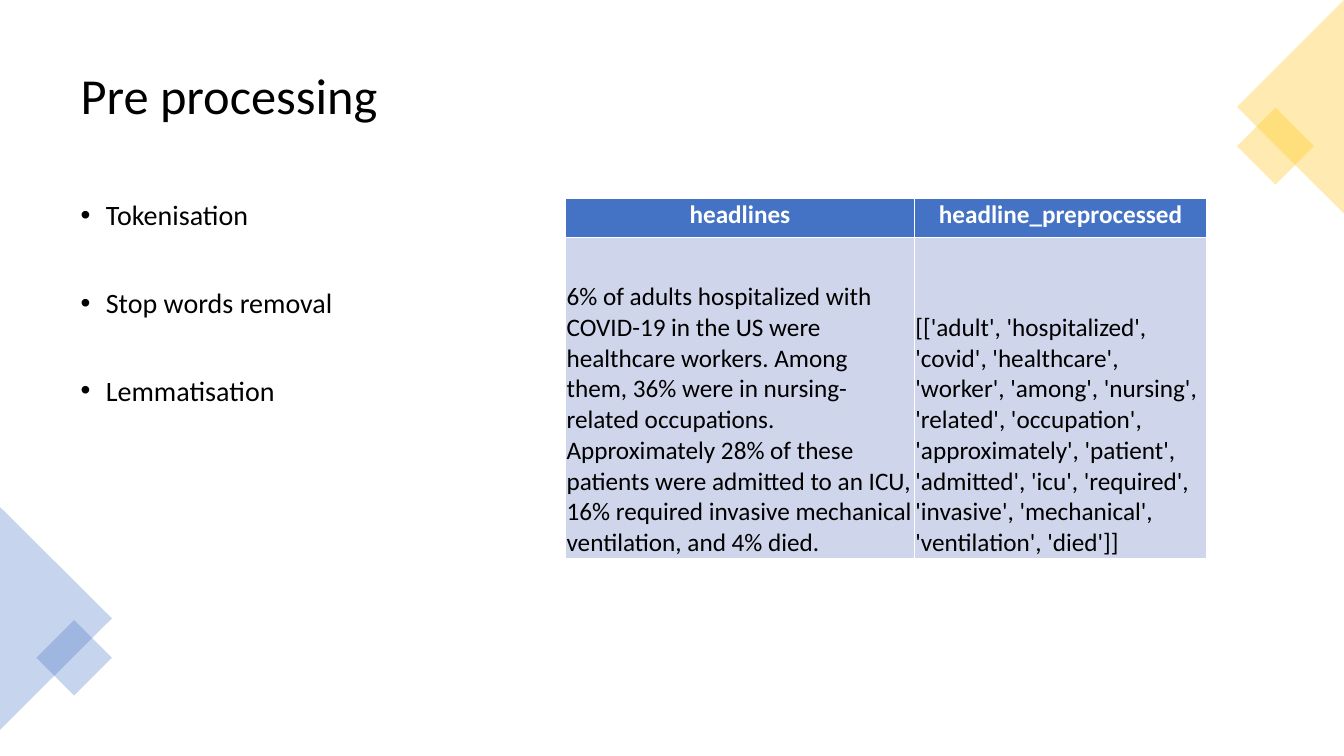
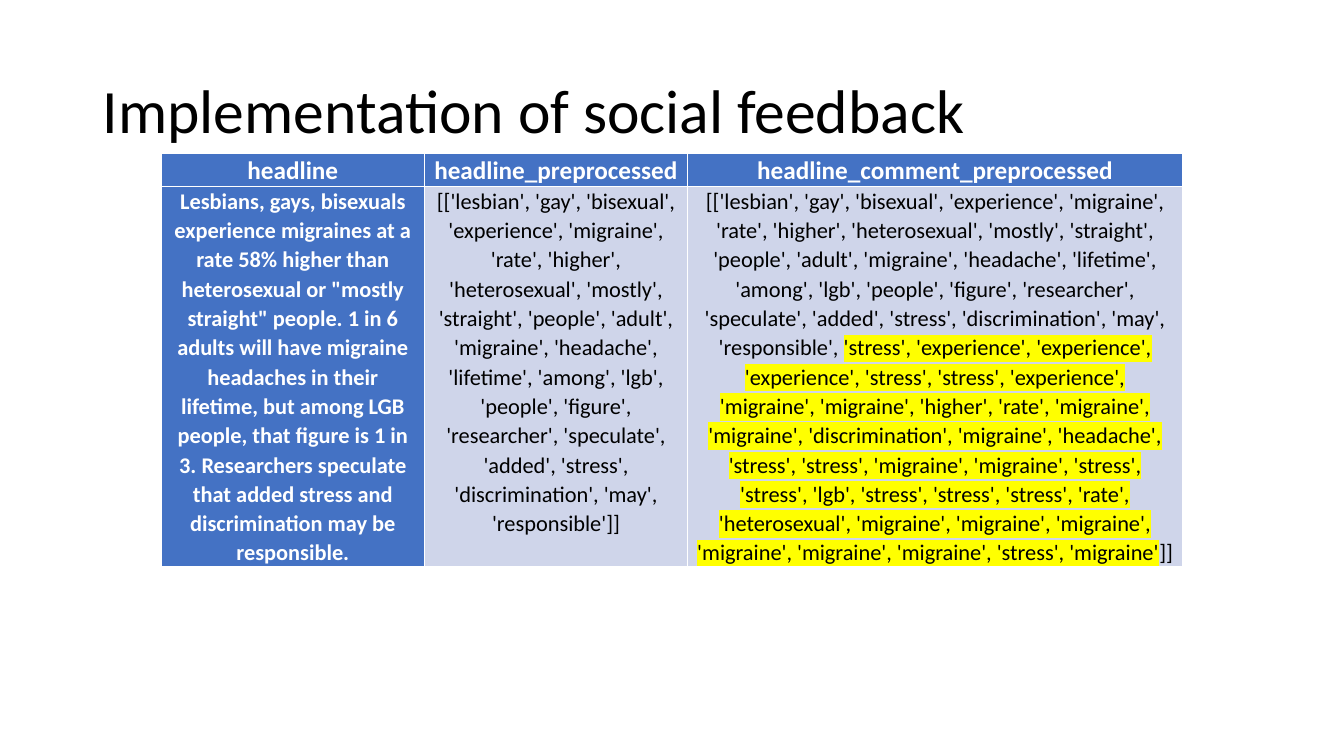
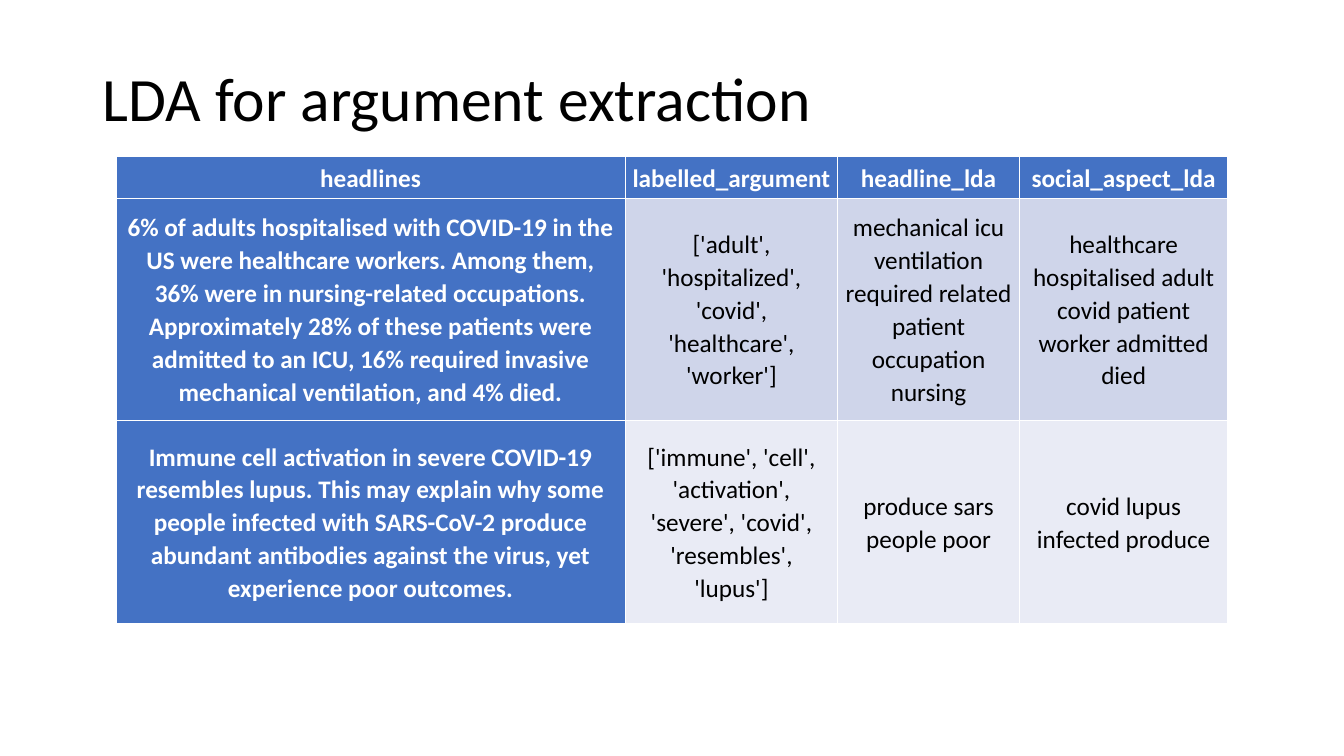
from dataclasses import dataclass
from pptx import Presentation
from pptx.dml.color import RGBColor
from pptx.enum.shapes import MSO_SHAPE
from pptx.enum.text import MSO_ANCHOR, MSO_AUTO_SIZE, PP_ALIGN
from pptx.oxml.xmlchemy import OxmlElement
from pptx.util import Inches, Pt

LEFT, CENTER = PP_ALIGN.LEFT, PP_ALIGN.CENTER
TOP, MIDDLE, BOTTOM = MSO_ANCHOR.TOP, MSO_ANCHOR.MIDDLE, MSO_ANCHOR.BOTTOM
NO_AUTOFIT = MSO_AUTO_SIZE.NONE
TRIANGLE, RECTANGLE = MSO_SHAPE.ISOSCELES_TRIANGLE, MSO_SHAPE.RECTANGLE
TITLE_AND_CONTENT, TITLE_ONLY = 1, 5


@dataclass(frozen=True)
class Theme:
    font: str = "Calibri"
    black: str = "000000"
    white: str = "FFFFFF"
    blue: str = "4472C4"
    gold: str = "FFC000"
    bands: tuple = ("CFD5EA", "E9EBF5")
    marker: str = "FFFF00"
    title: int = 44
    small_title: int = 36
    bullet: int = 20
    cell: int = 18
    small_cell: int = 16
    line_spacing: float = 0.9
    decor_opacity: int = 30


theme = Theme()


def format_runs(paragraph, size, color=theme.black, bold=False):
    for run in paragraph.runs:
        run.font.name = theme.font
        run.font.size = Pt(size)
        run.font.bold = bold
        run.font.color.rgb = RGBColor.from_string(color)


def place_text(placeholder, box, text, size):
    placeholder.left, placeholder.top, placeholder.width, placeholder.height = map(Inches, box)
    frame = placeholder.text_frame
    frame.text = text
    frame.word_wrap = True
    frame.auto_size = NO_AUTOFIT
    for paragraph in frame.paragraphs:
        paragraph.alignment = LEFT
        paragraph.line_spacing = theme.line_spacing
        format_runs(paragraph, size)
    return frame


prs = Presentation()
prs.slide_width, prs.slide_height = Inches(13.33), Inches(7.5)

# Wording used more than once
covid_headline = (
    "6% of adults {} with COVID-19 in the US were healthcare workers. Among them, 36% were in "
    "nursing-related occupations. Approximately 28% of these patients were admitted to an ICU, "
    "16% required invasive mechanical ventilation, and 4% died."
)
migraine_words = (
    "[['lesbian', 'gay', 'bisexual', 'experience', 'migraine', 'rate', 'higher', 'heterosexual', "
    "'mostly', 'straight', 'people', 'adult', 'migraine', 'headache', 'lifetime', 'among', 'lgb', "
    "'people', 'figure', 'researcher', 'speculate', 'added', 'stress', 'discrimination', 'may', "
    "'responsible'"
)
comment_words = (
    "'stress', 'experience', 'experience', 'experience', 'stress', 'stress', 'experience', "
    "'migraine', 'migraine', 'higher', 'rate', 'migraine', 'migraine', 'discrimination', "
    "'migraine', 'headache', 'stress', 'stress', 'migraine', 'migraine', 'stress', 'stress', "
    "'lgb', 'stress', 'stress', 'stress', 'rate', 'heterosexual', 'migraine', 'migraine', "
    "'migraine', 'migraine', 'migraine', 'migraine', 'stress', 'migraine'"
)

# Slide contents; each cell is a tuple of runs, and every second run is highlighted
pages = [
    dict(
        layout=TITLE_AND_CONTENT, title="Pre processing",
        title_box=(0.7, 0.35, 11.93, 1.24), title_size=theme.small_title,
        origin=(5.61, 1.97), cols=(3.46, 2.9), heights=(0.39, 3.18),
        insets=(0.01, 0.01, 0.01, 0), anchors=(TOP, BOTTOM), body_align=LEFT,
        body_size=theme.cell, line_spacing=1.0, space_after=0, first_col=False,
        rows=[
            [("headlines",), ("headline_preprocessed",)],
            [(covid_headline.format("hospitalized"),),
             ("[['adult', 'hospitalized', 'covid', 'healthcare', 'worker', 'among', 'nursing', "
              "'related', 'occupation', 'approximately', 'patient', 'admitted', 'icu', "
              "'required', 'invasive', 'mechanical', 'ventilation', 'died']]",)],
        ],
    ),
    dict(
        layout=TITLE_ONLY, title="Implementation of social feedback",
        title_box=(0.92, 0.4, 11.5, 1.45), title_size=theme.title,
        origin=(1.6, 1.52), cols=(2.61, 2.61, 4.91), heights=(0.29, 3.15),
        insets=(0.09, 0, 0.09, 0), anchors=(TOP, TOP), body_align=CENTER,
        body_size=theme.small_cell, line_spacing=1.07, space_after=8, first_col=True,
        rows=[
            [("headline",), ("headline_preprocessed",), ("headline_comment_preprocessed",)],
            [("Lesbians, gays, bisexuals experience migraines at a rate 58% higher than "
              "heterosexual or \"mostly straight\" people. 1 in 6 adults will have migraine "
              "headaches in their lifetime, but among LGB people, that figure is 1 in 3. "
              "Researchers speculate that added stress and discrimination may be responsible.",),
             (migraine_words + "]]",),
             (migraine_words + ", ", comment_words, "]]")],
        ],
    ),
    dict(
        layout=TITLE_ONLY, title="LDA for argument extraction",
        title_box=(0.92, 0.28, 11.5, 1.45), title_size=theme.title,
        origin=(1.15, 1.55), cols=(5.05, 2.11, 1.8, 2.07), heights=(0.42, 2.2, 2.02),
        insets=(0.06, 0, 0.06, 0), anchors=(MIDDLE, MIDDLE), body_align=CENTER,
        body_size=theme.cell, line_spacing=1.07, space_after=8, first_col=True,
        rows=[
            [("headlines",), ("labelled_argument",), ("headline_lda",), ("social_aspect_lda",)],
            [(covid_headline.format("hospitalised"),),
             ("['adult', 'hospitalized', 'covid', 'healthcare', 'worker']",),
             ("mechanical icu ventilation required related patient occupation nursing",),
             ("healthcare hospitalised adult covid patient worker admitted died",)],
            [("Immune cell activation in severe COVID-19 resembles lupus. This may explain why "
              "some people infected with SARS-CoV-2 produce abundant antibodies against the "
              "virus, yet experience poor outcomes.",),
             ("['immune', 'cell', 'activation', 'severe', 'covid', 'resembles', 'lupus']",),
             ("produce sars people poor",),
             ("covid lupus infected produce",)],
        ],
    ),
]

for page in pages:
    # Title
    slide = prs.slides.add_slide(prs.slide_layouts[page["layout"]])
    heading = place_text(slide.shapes.title, page["title_box"], page["title"], page["title_size"])
    heading.vertical_anchor = MIDDLE

    # Table: white rules come from the default table style
    cols, heights = page["cols"], page["heights"]
    grid = slide.shapes.add_table(
        len(heights), len(cols), *map(Inches, (*page["origin"], sum(cols), sum(heights)))).table
    grid.first_col = page["first_col"]
    for column, width in zip(grid.columns, cols):
        column.width = Inches(width)
    for row, height in zip(grid.rows, heights):
        row.height = Inches(height)

    for r, row_texts in enumerate(page["rows"]):
        is_header = r == 0
        for c, parts in enumerate(row_texts):
            is_label = is_header or (page["first_col"] and c == 0)
            cell = grid.cell(r, c)
            cell.fill.solid()
            cell.fill.fore_color.rgb = RGBColor.from_string(
                theme.blue if is_label else theme.bands[(r - 1) % 2])
            (cell.margin_left, cell.margin_top,
             cell.margin_right, cell.margin_bottom) = map(Inches, page["insets"])
            cell.vertical_anchor = page["anchors"][0 if is_header else 1]
            paragraph = cell.text_frame.paragraphs[0]
            paragraph.alignment = CENTER if is_header else page["body_align"]
            paragraph.line_spacing = page["line_spacing"]
            paragraph.space_after = Pt(page["space_after"])
            for part in parts:
                paragraph.add_run().text = part
            format_runs(paragraph, theme.cell if is_header else page["body_size"],
                        theme.white if is_label else theme.black, is_label)
            for run in paragraph.runs[1::2]:
                highlight = OxmlElement("a:highlight")
                marker = OxmlElement("a:srgbClr")
                marker.set("val", theme.marker)
                highlight.append(marker)
                run.font.fill._xPr.solidFill.addnext(highlight)

# Steps on the first slide
first_slide = prs.slides[0]
steps = place_text(first_slide.placeholders[1], (0.7, 1.95, 4.38, 4.81),
                   "Tokenisation\nStop words removal\nLemmatisation", theme.bullet)
for i, paragraph in enumerate(steps.paragraphs):
    paragraph.space_before = Pt(10 if i == 0 else 41)
    properties = paragraph._p.get_or_add_pPr()
    properties.set("marL", str(Inches(0.25)))
    properties.set("indent", str(Inches(-0.25)))

# Corner decoration on the first slide
corners = [
    (theme.blue, [(TRIANGLE, (-0.55, 5.58, 2.21, 1.11), 90),
                  (RECTANGLE, (0.47, 6.26, 0.53, 0.53), 45)]),
    (theme.gold, [(RECTANGLE, (12.38, 1.18, 0.54, 0.54), 45),
                  (TRIANGLE, (11.74, 0.53, 2.12, 1.06), 270)]),
]
for color, pieces in corners:
    corner = first_slide.shapes.add_group_shape()
    for outline, box, angle in pieces:
        piece = corner.shapes.add_shape(outline, *map(Inches, box))
        piece.rotation = angle
        piece.shadow.inherit = False
        piece.line.fill.background()
        piece.fill.solid()
        piece.fill.fore_color.rgb = RGBColor.from_string(color)
        alpha = OxmlElement("a:alpha")
        alpha.set("val", str(theme.decor_opacity * 1000))
        piece.fill._xPr.solidFill[0].append(alpha)

prs.save("out.pptx")
